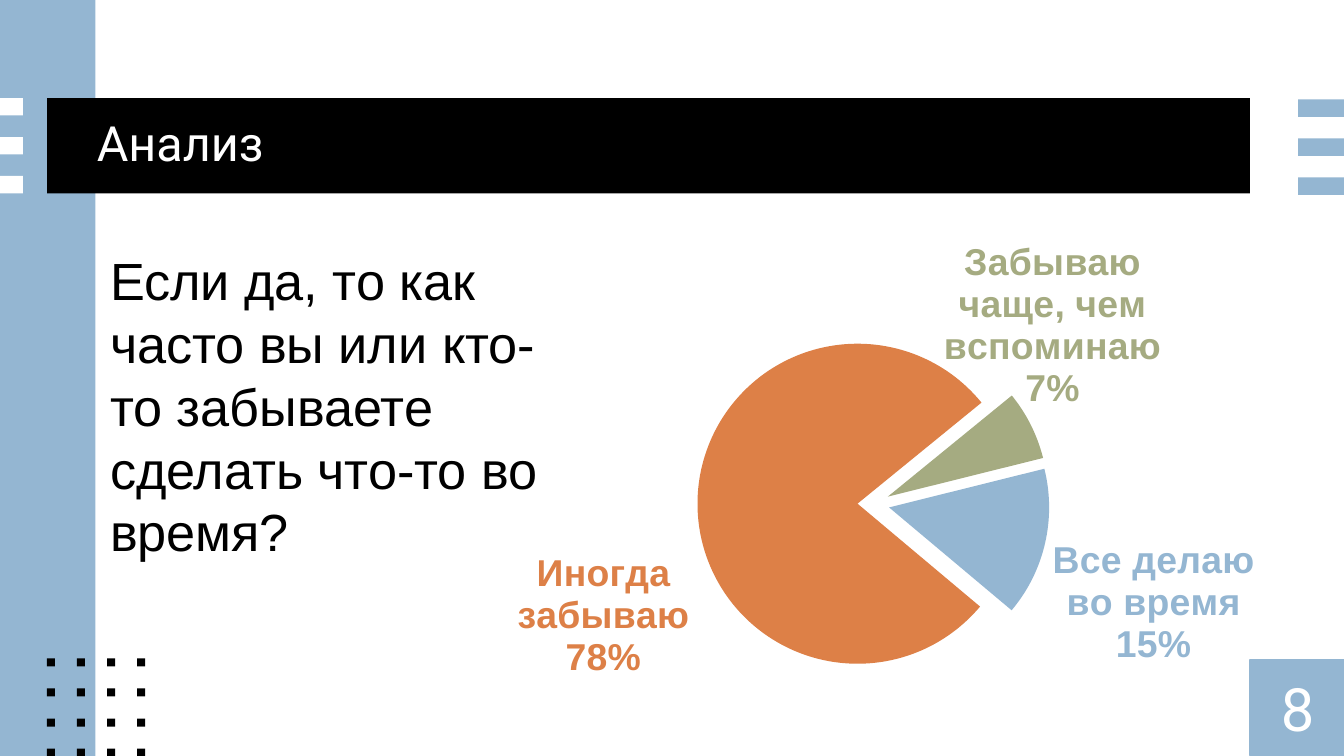
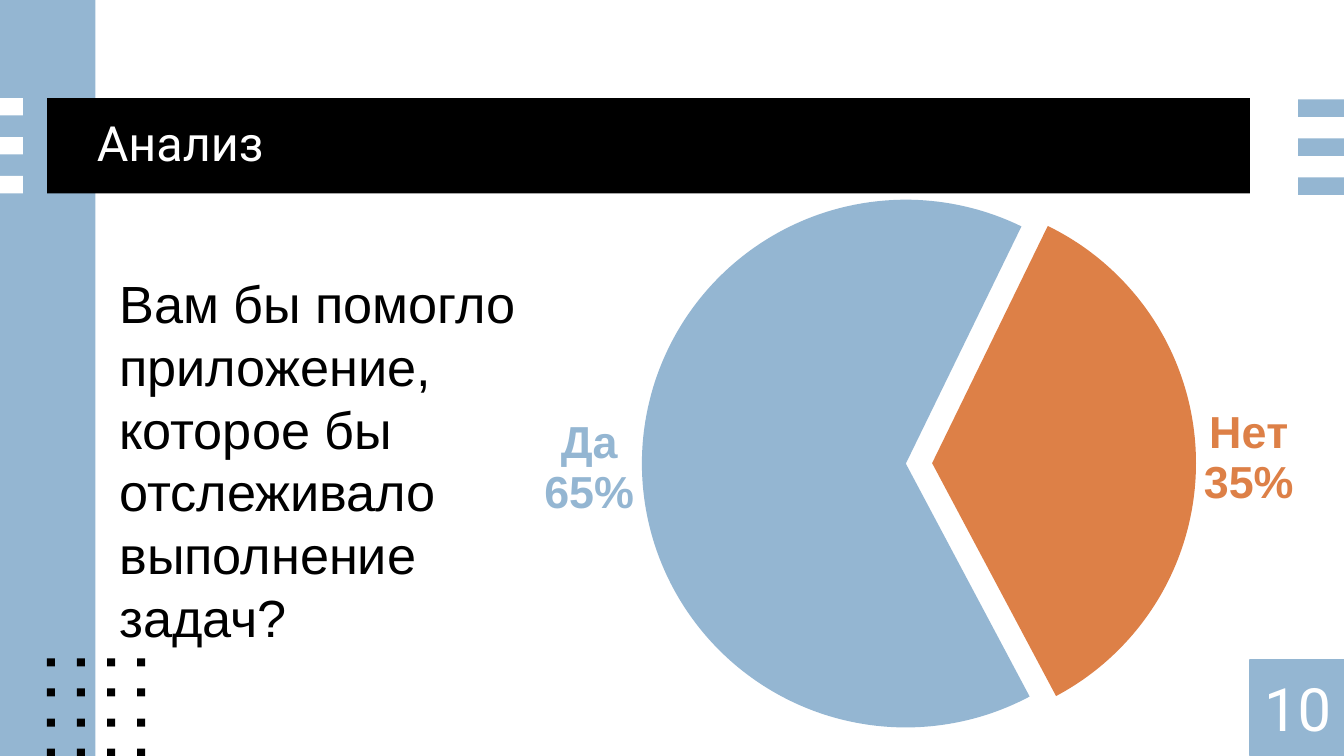
from itertools import product

from lxml import etree
from pptx import Presentation
from pptx import util as u
from pptx.chart.data import CategoryChartData
from pptx.dml.color import RGBColor
from pptx.enum import chart as charts, shapes, text
from pptx.oxml.ns import qn

BLUE, ORANGE, GREEN = "94B6D2", "DD8047", "A5AB81"
BLACK, WHITE = "000000", "FFFFFF"
SLICE_COLOURS = (BLUE, ORANGE, GREEN)
HEADING_FONT, BODY_FONT = "Roboto", "Arial"
WIDTH = 10
HEIGHT = WIDTH * 9 / 16


def colour(hex_text):
    """Turn a hex string into a colour."""
    return RGBColor.from_string(hex_text)


def box(at):
    """Turn left, top, width and height in inches into lengths."""
    return [u.Inches(value) for value in at]


def add_rectangle(slide, at, fill):
    """Add a plain filled rectangle."""
    shape = slide.shapes.add_shape(shapes.MSO_SHAPE.RECTANGLE, *box(at))
    shape.shadow.inherit = False
    shape.fill.solid()
    shape.fill.fore_color.rgb = colour(fill)
    shape.line.fill.background()
    return shape


def write(shape, words, size, font, fill, align=text.PP_ALIGN.LEFT):
    """Write one paragraph into a shape and return that paragraph."""
    shape.text_frame.word_wrap = True
    paragraph = shape.text_frame.paragraphs[0]
    paragraph.alignment = align
    run = paragraph.add_run()
    run.text = words
    run.font.size = u.Pt(size)
    run.font.name = font
    run.font.color.rgb = colour(fill)
    return paragraph


def centre_without_margins(shape):
    """Remove the text margins and anchor the text in the middle."""
    frame = shape.text_frame
    frame.margin_left = frame.margin_right = frame.margin_top = frame.margin_bottom = 0
    frame.vertical_anchor = text.MSO_ANCHOR.MIDDLE


def add_frame(slide, title, number):
    """Add the side band, title bar, stripes, dots and page number."""
    add_rectangle(slide, (0, 0, 0.71, HEIGHT), BLUE)
    add_rectangle(slide, (0.35, 0.73, 8.95, 0.71), BLACK)
    for row in range(3):
        top = 0.73 + 0.29 * row
        add_rectangle(slide, (0, top, 0.17, 0.13), WHITE)
        add_rectangle(slide, (9.66, top + 0.01, 0.34, 0.13), BLUE)
    pitch = 0.67 / 3
    for row, column in product(range(4), repeat=2):
        add_rectangle(slide, (0.35 + pitch * column, 4.9 + pitch * row, 0.06, 0.06), BLACK)
    heading = slide.shapes.add_textbox(*box((0.72, 0.73, 8.58, 0.71)))
    centre_without_margins(heading)
    write(heading, title, 26, HEADING_FONT, WHITE).line_spacing = 0.9
    page = add_rectangle(slide, (9.3, 4.91, 0.71, 0.71), BLUE)
    page.line.color.rgb = colour(BLUE)
    page.line.width = u.Pt(0.75)
    centre_without_margins(page)
    write(page, str(number), 32, HEADING_FONT, WHITE, text.PP_ALIGN.CENTER)


def add_question(slide, at, words):
    """Add the survey question."""
    write(slide.shapes.add_textbox(*box(at)), words, 28, BODY_FONT, BLACK)


def make_value(name, value):
    """Make a chart element that holds one value."""
    element = etree.Element(qn(f"c:{name}"))
    element.set("val", str(value))
    return element


def make_layout(**settings):
    """Make a manual layout element for a chart part."""
    layout = etree.Element(qn("c:layout"))
    manual = etree.SubElement(layout, qn("c:manualLayout"))
    for name, value in settings.items():
        manual.append(make_value(name, value))
    return layout


def replace_children(parent, name):
    """Remove the children of one name, ready for a new one."""
    for old in parent.findall(qn(f"c:{name}")):
        parent.remove(old)


def format_series_labels(series):
    """Show category and percentage outside the pie, without leader lines."""
    labels = series.data_labels
    labels.show_value = False
    labels.show_category_name = True
    labels.show_percentage = True
    labels.position = charts.XL_LABEL_POSITION.OUTSIDE_END
    element = series._element.find(qn("c:dLbls"))
    replace_children(element, "showLeaderLines")
    element.find(qn("c:showBubbleSize")).addnext(make_value("showLeaderLines", 0))


def format_label(series, index, size, fill, offset):
    """Format the label of one slice and move it by an offset."""
    label = series.points[index].data_label
    label.font.size = u.Pt(size)
    label.font.bold = True
    label.font.name = BODY_FONT
    label.font.color.rgb = colour(fill)
    label.position = charts.XL_LABEL_POSITION.OUTSIDE_END
    entry = series._element.xpath(f"c:dLbls/c:dLbl[c:idx/@val='{index}']")[0]
    for name, shown in (("showVal", 0), ("showCatName", 1), ("showPercent", 1)):
        entry.find(qn(f"c:{name}")).set("val", str(shown))
    etree.SubElement(entry, qn("c:separator")).text = "\n"
    if any(offset):
        entry.find(qn("c:idx")).addnext(make_layout(x=offset[0], y=offset[1]))


def format_slice(series, index, fill, explosion):
    """Colour one slice and pull it out of the pie."""
    point = series.points[index]
    point.format.fill.solid()
    point.format.fill.fore_color.rgb = colour(fill)
    point.format.line.fill.background()
    entry = series._element.xpath(f"c:dPt[c:idx/@val='{index}']")[0]
    entry.find(qn("c:spPr")).addprevious(make_value("explosion", explosion))


def add_pie(slide, at, answers, pie_at, start, size, offsets, explosions):
    """Add an exploded pie of the answers inside the given square."""
    data = CategoryChartData()
    data.categories = list(answers)
    data.add_series("Series 1", list(answers.values()))
    chart = slide.shapes.add_chart(charts.XL_CHART_TYPE.PIE, *box(at), data).chart
    chart.has_legend = False
    chart.has_title = False
    chart.font.size = u.Pt(size)
    chart.font.name = BODY_FONT
    chart.font.color.rgb = colour(BLACK)
    plot = chart.plots[0]
    plot.vary_by_categories = True
    series = plot.series[0]
    series._element.find(qn("c:tx")).addnext(make_value("explosion", 10))
    format_series_labels(series)
    for index, fill in enumerate(SLICE_COLOURS[:len(answers)]):
        format_slice(series, index, fill, explosions[index])
        format_label(series, index, size, fill, offsets[index])
    pie = series._element.getparent()
    replace_children(pie, "firstSliceAng")
    pie.append(make_value("firstSliceAng", start))
    left, top, side = pie_at
    area = pie.getparent()
    replace_children(area, "layout")
    area.insert(0, make_layout(
        layoutTarget="inner", xMode="edge", yMode="edge",
        x=(left - at[0]) / at[2], y=(top - at[1]) / at[3],
        w=side / at[2], h=side / at[3]))


def main():
    """Build both survey slides."""
    presentation = Presentation()
    presentation.slide_width, presentation.slide_height = u.Inches(WIDTH), u.Inches(HEIGHT)
    blank = presentation.slide_layouts[6]

    forgetting = presentation.slides.add_slide(blank)
    add_frame(forgetting, "Анализ", 8)
    add_question(forgetting, (0.72, 1.8, 3.41, 2.46),
                 "Если да, то как часто вы или кто-то забываете сделать что-то во время?")
    add_pie(forgetting, (2.25, 1.51, 8.75, 4.23),
            {"Все делаю во время": 15, "Иногда забываю": 78, "Забываю чаще, чем вспоминаю": 7},
            (5.19, 2.44, 2.62), 76, 20, ((0, -0.01), (0, 0.2), (-0.08, -0.02)), (10, 10, 10))

    helping = presentation.slides.add_slide(blank)
    add_frame(helping, "Анализ", 10)
    add_pie(helping, (2.06, 1.15, 9.45, 4.6), {"Да": 65, "Нет": 35},
            (4.58, 1.29, 4.32), 152, 24, ((0, 0), (0, 0)), (0, 10))
    add_question(helping, (0.79, 1.97, 3.41, 2.93),
                 "Вам бы помогло приложение, которое бы отслеживало выполнение задач?")
    presentation.save("out.pptx")


if __name__ == "__main__":
    main()
